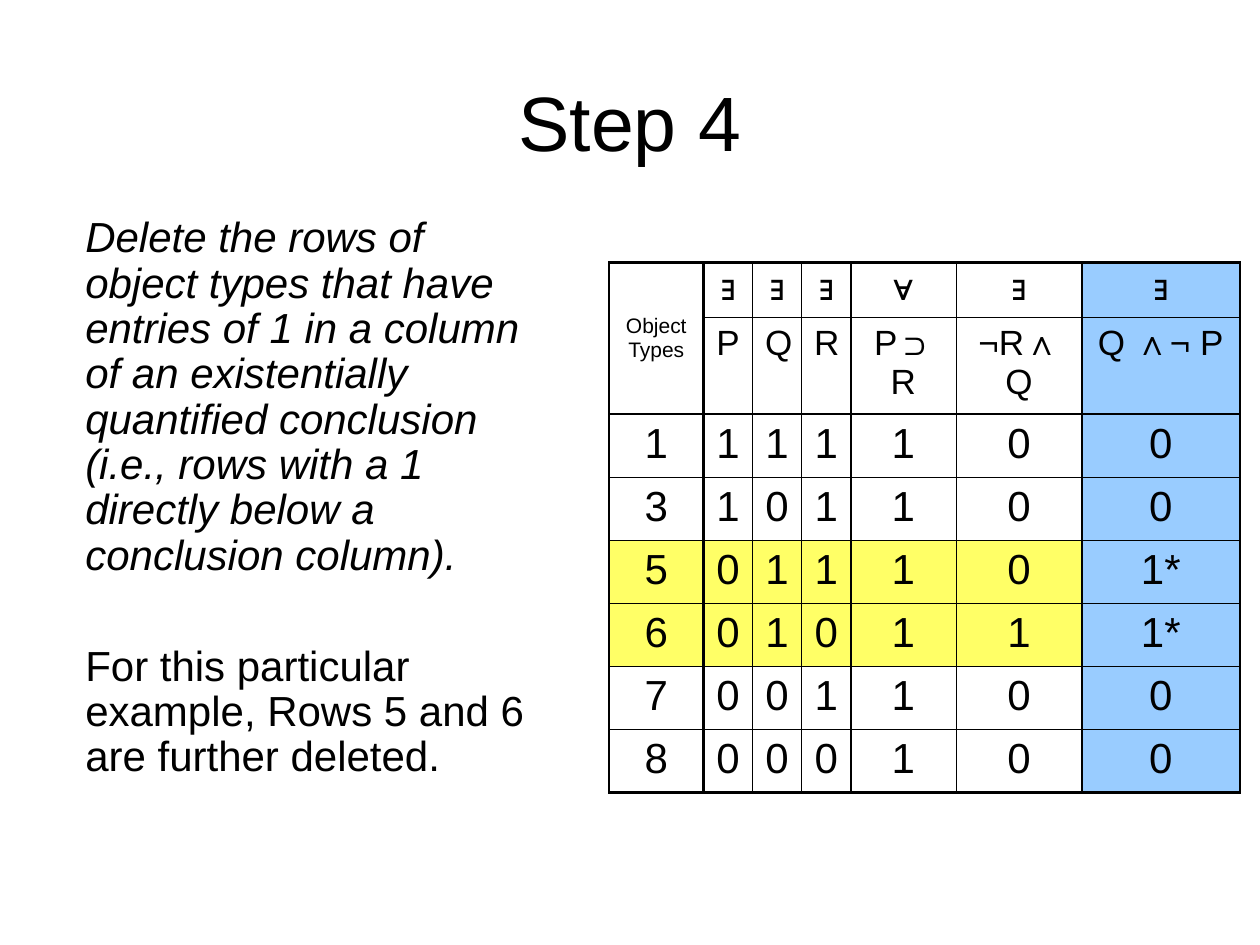
from dataclasses import dataclass

import pptx
import pptx.dml.color
import pptx.enum.text
import pptx.oxml
import pptx.oxml.ns
import pptx.util
from pptx.util import Cm, Pt

BLACK = pptx.dml.color.RGBColor(0x00, 0x00, 0x00)
BLUE = pptx.dml.color.RGBColor(0x99, 0xCC, 0xFF)
YELLOW = pptx.dml.color.RGBColor(0xFF, 0xFF, 0x66)
ALIGN = pptx.enum.text.PP_ALIGN
ANCHOR = pptx.enum.text.MSO_ANCHOR
FONT = "Arial"
THICK, THIN = Pt(1.47), Pt(0.45)

COLUMN_WIDTHS = [1.9, 0.99, 0.99, 0.99, 2.12, 2.54, 3.18]
ROW_HEIGHTS = [1.11] + [1.27] * 7
THICK_COLUMN_EDGES = {0, 1, 4, 6, 7}
THICK_ROW_EDGES = {0, 2, 8}
CONCLUSION_COLUMN = 6


@dataclass
class TruthRow:
    """One row of the truth table and its text format."""
    entries: list[str]
    size: int = 24
    before: int = 6
    deleted: bool = False


TRUTH_ROWS = [
    TruthRow(["Object Types", "∃", "∃", "∃", "∀", "∃", "∃"], 20, 5),
    TruthRow(["", "P", "Q", "R", "P⊃R", "¬R∧Q", "Q ∧¬ P"], 20, 5),
    TruthRow(["1", "1", "1", "1", "1", "0", "0"]),
    TruthRow(["3", "1", "0", "1", "1", "0", "0"]),
    TruthRow(["5", "0", "1", "1", "1", "0", "1*"], deleted=True),
    TruthRow(["6", "0", "1", "0", "1", "1", "1*"], deleted=True),
    TruthRow(["7", "0", "0", "1", "1", "0", "0"]),
    TruthRow(["8", "0", "0", "0", "1", "0", "0"]),
]


def write(paragraph, text: str, *, size: float, align=ALIGN.LEFT, italic: bool = False,
          before: float = 0, spacing: float = 1.0, indent: float = 0) -> None:
    """Put formatted text into a paragraph; the indent is in centimetres."""
    paragraph.alignment = align
    paragraph.space_before = Pt(before)
    paragraph.line_spacing = spacing
    if indent:
        paragraph._p.get_or_add_pPr().set("marL", str(Cm(indent)))
    run = paragraph.add_run()
    run.text = text
    run.font.name = FONT
    run.font.size = Pt(size)
    run.font.italic = italic
    run.font.color.rgb = BLACK


def add_frame(slide, left: float, top: float, width: float, height: float, anchor):
    """Add a wrapping text box and return its text frame."""
    frame = slide.shapes.add_textbox(Cm(left), Cm(top), Cm(width), Cm(height)).text_frame
    frame.word_wrap = True
    frame.vertical_anchor = anchor
    return frame


def set_borders(cell, widths: dict[str, int]) -> None:
    """Draw black cell borders, given the width for each side."""
    properties = cell._tc.get_or_add_tcPr()
    for side in "LRTB":
        properties.append(pptx.oxml.parse_xml(
            f'<a:ln{side} {pptx.oxml.ns.nsdecls("a")} w="{widths[side]}">'
            f'<a:solidFill><a:srgbClr val="{BLACK}"/></a:solidFill></a:ln{side}>'))


def edge_width(edge: int, thick_edges: set[int]) -> int:
    """Return the line width of a grid edge."""
    return THICK if edge in thick_edges else THIN


def fill_cell(cell, row: int, column: int) -> None:
    """Write, border and colour one cell of the truth table."""
    truth = TRUTH_ROWS[row]
    corner = cell.is_merge_origin
    set_borders(cell, {
        "L": edge_width(column, THICK_COLUMN_EDGES),
        "R": edge_width(column + 1, THICK_COLUMN_EDGES),
        "T": edge_width(row, THICK_ROW_EDGES),
        "B": edge_width(row + (2 if corner else 1), THICK_ROW_EDGES),
    })
    if column == CONCLUSION_COLUMN or truth.deleted:
        cell.fill.solid()
        cell.fill.fore_color.rgb = BLUE if column == CONCLUSION_COLUMN else YELLOW
    else:
        cell.fill.background()
    cell.vertical_anchor = ANCHOR.MIDDLE if corner else ANCHOR.TOP
    write(cell.text_frame.paragraphs[0], truth.entries[column], align=ALIGN.CENTER,
          size=12 if corner else truth.size, before=3 if corner else truth.before)


def add_truth_table(slide) -> None:
    """Add the table of object types."""
    table = slide.shapes.add_table(
        len(ROW_HEIGHTS), len(COLUMN_WIDTHS), Cm(12.28), Cm(5.29),
        Cm(sum(COLUMN_WIDTHS)), Cm(sum(ROW_HEIGHTS))).table
    table.first_row = table.horz_banding = False
    for column, width in zip(table.columns, COLUMN_WIDTHS):
        column.width = Cm(width)
    for row, height in zip(table.rows, ROW_HEIGHTS):
        row.height = Cm(height)
    table.cell(0, 0).merge(table.cell(1, 0))
    for row in range(len(ROW_HEIGHTS)):
        for column in range(len(COLUMN_WIDTHS)):
            cell = table.cell(row, column)
            if not cell.is_spanned:
                fill_cell(cell, row, column)


def main() -> None:
    """Build and save the slide."""
    deck = pptx.Presentation()
    deck.slide_width, deck.slide_height = Cm(25.4), Cm(19.05)
    slide = deck.slides.add_slide(deck.slide_layouts[6])

    title = add_frame(slide, 1.27, 0.84, 22.86, 3.18, ANCHOR.MIDDLE)
    write(title.paragraphs[0], "Step 4", size=44, align=ALIGN.CENTER)

    body = add_frame(slide, 0, 4.24, 11.23, 12.57, ANCHOR.TOP)
    write(body.paragraphs[0],
          "Delete the rows of object types that have entries of 1 in a column of an "
          "existentially quantified conclusion (i.e., rows with a 1 directly below a "
          "conclusion column).",
          size=24, italic=True, before=6, spacing=0.9, indent=1.47)
    write(body.add_paragraph(),
          "For this particular example, Rows 5 and 6 are further deleted.",
          size=24, before=37.5, spacing=0.9, indent=1.47)

    add_truth_table(slide)
    deck.save("out.pptx")


main()
